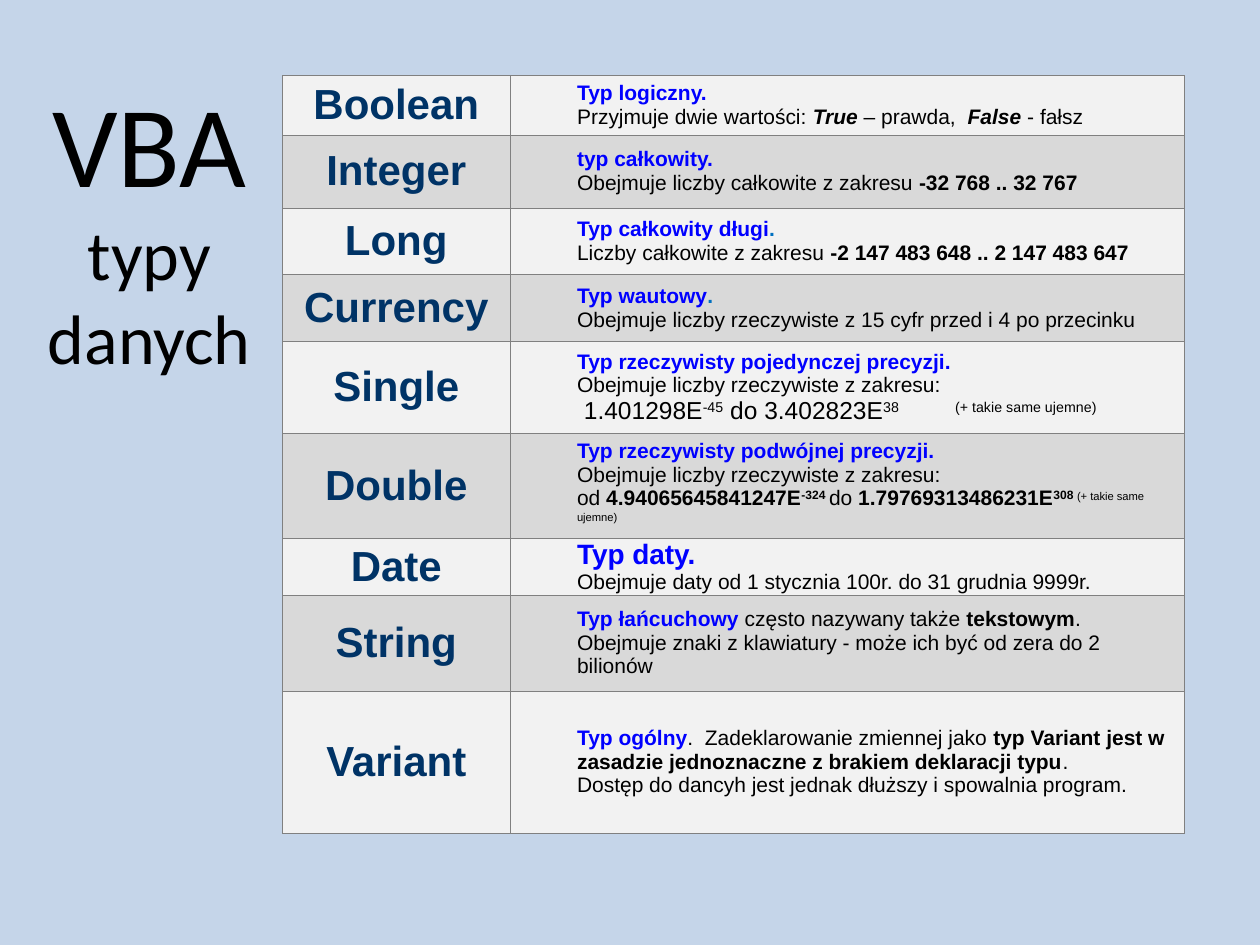
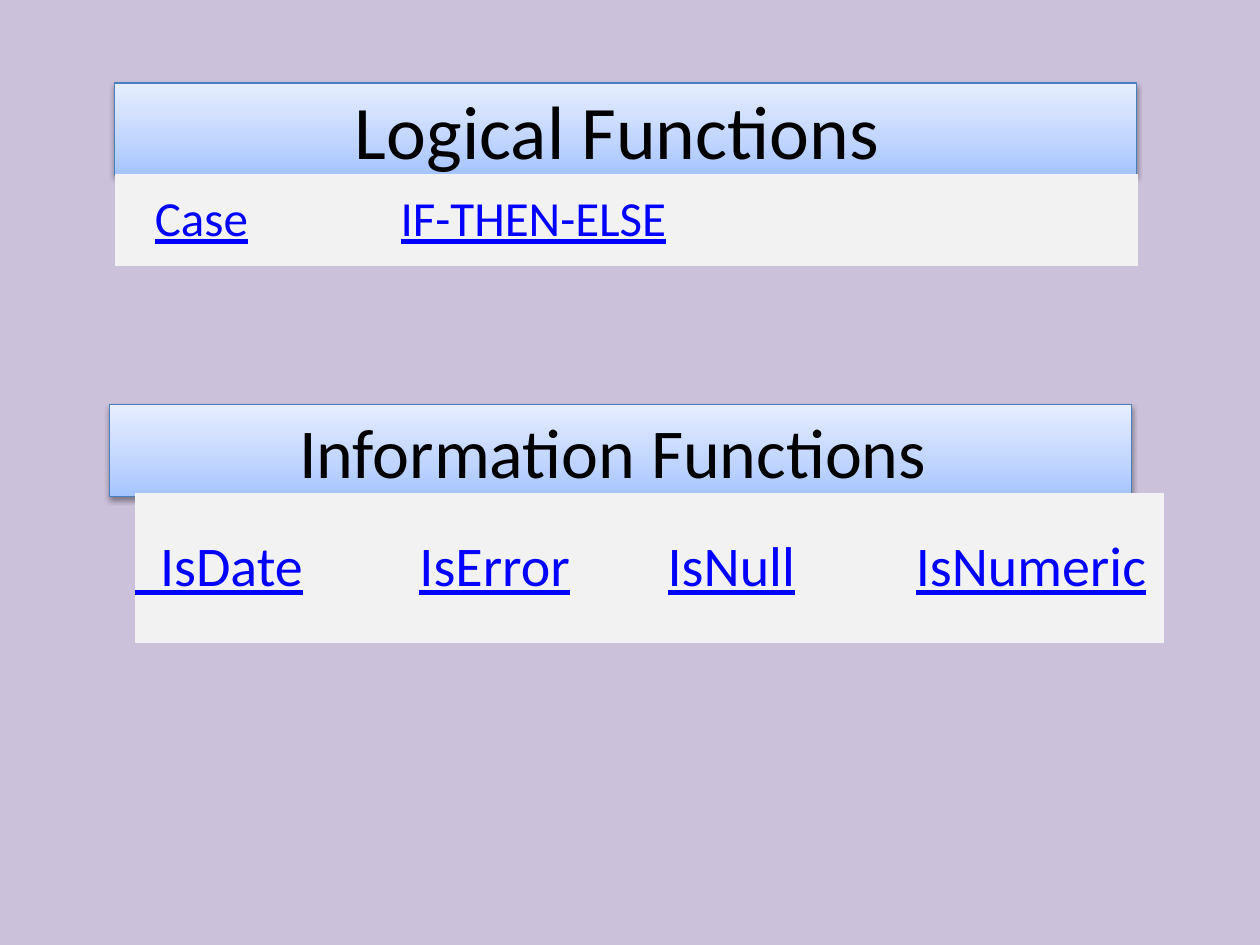
from copy import deepcopy
from dataclasses import dataclass, field

from lxml.etree import SubElement
from pptx import Presentation
from pptx.dml.color import RGBColor
from pptx.enum.shapes import MSO_SHAPE
from pptx.enum.text import MSO_ANCHOR, MSO_AUTO_SIZE, PP_ALIGN
from pptx.oxml import parse_xml
from pptx.oxml.ns import nsdecls, qn
from pptx.util import Inches, Pt

BLACK = RGBColor(0x00, 0x00, 0x00)
NAVY = RGBColor(0x00, 0x33, 0x66)
LINK_BLUE = RGBColor(0x00, 0x00, 0xFF)
DOT_BLUE = RGBColor(0x00, 0x70, 0xC0)
LIGHT_ROW = RGBColor(0xF2, 0xF2, 0xF2)
DARK_ROW = RGBColor(0xD9, 0xD9, 0xD9)
SKY = RGBColor(0xC5, 0xD5, 0xE9)
LILAC = RGBColor(0xCC, 0xC1, 0xDA)
BAND_LINE = RGBColor(0x4B, 0x7E, 0xBC)
BAND_STOPS = [
    (0, RGBColor(0xA4, 0xC4, 0xFF)),
    (0.35, RGBColor(0xBF, 0xD4, 0xFF)),
    (1, RGBColor(0xE6, 0xEE, 0xFF)),
]
GRID_GREY = "808080"
PLAIN_TABLE_STYLE = "{2D5ABB26-0587-4C30-8999-92F81FD0307C}"

TITLE = {"name": "Calibri", "color": BLACK}
TYPE_NAME = {"name": "Arial", "size": Pt(24), "bold": True, "color": NAVY}
BODY = {"name": "Arial", "size": Pt(12), "bold": False, "color": BLACK}
BOLD = BODY | {"bold": True}
BOLD_ITALIC = BOLD | {"italic": True}
LEAD = BOLD | {"color": LINK_BLUE}
LEAD_DOT = BOLD | {"color": DOT_BLUE}
LARGE = BODY | {"size": Pt(14)}
LINK = {"name": "Calibri", "underline": True, "color": LINK_BLUE}


@dataclass
class Span:
    """A stretch of text in one format; a newline is a line break."""
    text: str
    style: dict = field(default_factory=lambda: BODY)
    raised: bool = False


@dataclass
class DataType:
    """One row of the data type table."""
    name: str
    height: float
    paragraphs: list[list[Span]]


@dataclass
class LinkTable:
    """A one-row table of function links."""
    left: float
    top: float
    height: float
    size: float
    columns: list[tuple[float, str | None]]


DATA_TYPES = [
    DataType("Boolean", 0.47, [[
        Span("Typ logiczny. \n", LEAD), Span("Przyjmuje dwie wartości: "),
        Span("True", BOLD_ITALIC), Span(" – prawda,  "),
        Span("False", BOLD_ITALIC), Span(" - fałsz ")]]),
    DataType("Integer", 0.58, [[
        Span("typ całkowity.\n", LEAD),
        Span("Obejmuje liczby całkowite z zakresu "),
        Span("-32 768 .. 32 767", BOLD)]]),
    DataType("Long", 0.53, [[
        Span("Typ całkowity długi", LEAD), Span(".\n", LEAD_DOT),
        Span("Liczby całkowite z zakresu "),
        Span("-2 147 483 648 .. 2 147 483 647", BOLD)]]),
    DataType("Currency", 0.53, [[
        Span("Typ wautowy", LEAD), Span(".\n", LEAD_DOT),
        Span("Obejmuje liczby rzeczywiste z 15 cyfr przed i 4 po przecinku")]]),
    DataType("Single", 0.73, [[
        Span("Typ rzeczywisty pojedynczej precyzji.\n", LEAD),
        Span("Obejmuje liczby rzeczywiste z zakresu:\n"),
        Span(" 1.401298E", LARGE), Span("-45", LARGE, True),
        Span(" do 3.402823E", LARGE),
        Span("38\t(+ takie same ujemne)", LARGE, True)]]),
    DataType("Double", 0.83, [[
        Span("Typ rzeczywisty podwójnej precyzji.\n", LEAD),
        Span("Obejmuje liczby rzeczywiste z zakresu:\nod "),
        Span("4.94065645841247E", BOLD), Span("-324 ", BOLD, True),
        Span("do "), Span("1.79769313486231E", BOLD),
        Span("308 ", BOLD, True),
        Span("(+ takie same ujemne)", BODY | {"size": Pt(11)}, True)]]),
    DataType("Date", 0.43, [[
        Span("Typ daty.\n", LEAD | {"size": Pt(16)}),
        Span("Obejmuje daty od 1 stycznia 100r. do 31 grudnia 9999r.")]]),
    DataType("String", 0.76, [[
        Span("Typ łańcuchowy ", LEAD), Span("często nazywany także "),
        Span("tekstowym", BOLD),
        Span(". \nObejmuje znaki z klawiatury - może ich być "
             "od zera do 2 bilionów")]]),
    DataType("Variant", 1.13, [
        [Span("Typ ogólny", LEAD), Span(".  Zadeklarowanie zmiennej jako "),
         Span("typ Variant jest w zasadzie jednoznaczne "
              "z brakiem deklaracji typu", BOLD), Span(". ")],
        [Span("Dostęp do dancyh jest jednak dłuższy i spowalnia program. ")]]),
]

LOGICAL_LINKS = LinkTable(0.91, 1.38, 0.73, 28, [
    (0.32, ""), (1.95, "Case"), (5.09, "IF-THEN-ELSE"), (0.38, ""), (0.38, "")])
INFORMATION_LINKS = LinkTable(0.83, 3.91, 1.19, 32, [
    (0.03, None), (2.26, "  IsDate"), (1.97, "IsError"), (1.97, "IsNull"),
    (1.97, "IsNumeric")])


def write(paragraph, spans: list[Span]) -> None:
    """Add formatted spans to a paragraph."""
    for span in spans:
        for index, line in enumerate(span.text.split("\n")):
            if index:
                paragraph.add_line_break()
                line_break = paragraph._p.findall(qn("a:br"))[-1]
                line_break.append(deepcopy(run._r.get_or_add_rPr()))
            if not line:
                continue
            run = paragraph.add_run()
            run.text = line
            for key, value in span.style.items():
                if key == "color":
                    run.font.color.rgb = value
                else:
                    setattr(run.font, key, value)
            if span.raised:
                run._r.get_or_add_rPr().set("baseline", "30000")


def write_heading(shape, spans: list[Span]) -> None:
    """Fill a title or band with centred text that keeps its size."""
    frame = shape.text_frame
    settings = {"word_wrap": True, "auto_size": MSO_AUTO_SIZE.NONE,
                "vertical_anchor": MSO_ANCHOR.MIDDLE}
    for key, value in settings.items():
        setattr(frame, key, value)
    frame.paragraphs[0].alignment = PP_ALIGN.CENTER
    write(frame.paragraphs[0], spans)


def place(shape, left: float, top: float, width: float, height: float) -> None:
    """Set position and size in inches."""
    box = {"left": left, "top": top, "width": width, "height": height}
    for key, value in box.items():
        setattr(shape, key, Inches(value))


def add_slide(deck, background: RGBColor):
    """Add a title slide on a plain background, without its subtitle."""
    slide = deck.slides.add_slide(deck.slide_layouts[0])
    subtitle = slide.placeholders[1]._element
    subtitle.getparent().remove(subtitle)
    slide.background.fill.solid()
    slide.background.fill.fore_color.rgb = background
    return slide


def style_band(band, text: str, size: float) -> None:
    """Give a heading band its gradient, outline, shadow and text."""
    band.fill.gradient()
    band.fill.gradient_angle = 90
    stops = band._element.spPr.find(qn("a:gradFill")).find(qn("a:gsLst"))
    stops.append(deepcopy(stops[0]))
    for stop, (position, color) in zip(band.fill.gradient_stops, BAND_STOPS):
        stop.position = position
        stop.color.rgb = color
    band.line.color.rgb = BAND_LINE
    band.line.width = Pt(0.75)
    band.shadow.inherit = False
    band._element.spPr.find(qn("a:effectLst")).append(parse_xml(
        f'<a:outerShdw {nsdecls("a")} blurRad="{Pt(3.1)}" dist="{Pt(1.6)}" '
        'dir="5400000" rotWithShape="0"><a:srgbClr val="000000">'
        '<a:alpha val="38000"/></a:srgbClr></a:outerShdw>'))
    write_heading(band, [Span(text, TITLE | {"size": Pt(size)})])


def add_plain_table(slide, left: float, top: float,
                    widths: list[float], heights: list[float]):
    """Add a table without style, with the given columns and rows."""
    table = slide.shapes.add_table(
        len(heights), len(widths), Inches(left), Inches(top),
        Inches(sum(widths)), Inches(sum(heights))).table
    table.first_row = table.horz_banding = False
    table._tbl.tblPr.find(qn("a:tableStyleId")).text = PLAIN_TABLE_STYLE
    for column, width in zip(table.columns, widths):
        column.width = Inches(width)
    for row, height in zip(table.rows, heights):
        row.height = Inches(height)
    return table


def style_cell(cell, fill: RGBColor, side: float, end: float) -> None:
    """Fill a cell, centre it vertically and set its margins."""
    cell.fill.solid()
    cell.fill.fore_color.rgb = fill
    settings = {"vertical_anchor": MSO_ANCHOR.MIDDLE,
                "margin_left": Inches(side), "margin_right": Inches(side),
                "margin_top": Inches(end), "margin_bottom": Inches(end)}
    for key, value in settings.items():
        setattr(cell, key, value)


def add_borders(cell) -> None:
    """Draw a thin grey line on all four sides of a cell."""
    properties = cell._tc.get_or_add_tcPr()
    for index, side in enumerate("LRTB"):
        properties.insert(index, parse_xml(
            f'<a:ln{side} {nsdecls("a")} w="{Pt(0.25)}"><a:solidFill>'
            f'<a:srgbClr val="{GRID_GREY}"/></a:solidFill></a:ln{side}>'))


def indent(paragraph) -> None:
    """Indent a description and set the tab for its side remark."""
    paragraph.level = 1
    properties = paragraph._p.get_or_add_pPr()
    properties.set("marL", str(Inches(0.5)))
    properties.set("indent", "0")
    tabs = SubElement(properties, qn("a:tabLst"))
    SubElement(tabs, qn("a:tab"), pos=str(Inches(3.34)), algn="l")


def add_type_table(slide) -> None:
    """Draw the table of data types and their descriptions."""
    table = add_plain_table(slide, 2.24, 0.6, [1.81, 5.35],
                            [data_type.height for data_type in DATA_TYPES])
    for row, data_type in enumerate(DATA_TYPES):
        name, description = table.cell(row, 0), table.cell(row, 1)
        for cell in (name, description):
            style_cell(cell, DARK_ROW if row % 2 else LIGHT_ROW, 0.03, 0.01)
            add_borders(cell)
        label = name.text_frame.paragraphs[0]
        label.alignment = PP_ALIGN.CENTER
        write(label, [Span(data_type.name, TYPE_NAME)])
        frame = description.text_frame
        for index, spans in enumerate(data_type.paragraphs):
            paragraph = frame.add_paragraph() if index else frame.paragraphs[0]
            indent(paragraph)
            write(paragraph, spans)


def add_link_table(slide, links: LinkTable) -> None:
    """Draw a row of function names; a column of None stays unfilled."""
    table = add_plain_table(slide, links.left, links.top,
                            [width for width, _ in links.columns],
                            [links.height])
    for column, (_, function) in enumerate(links.columns):
        if function is None:
            continue
        cell = table.cell(0, column)
        style_cell(cell, LIGHT_ROW, 0, 0)
        write(cell.text_frame.paragraphs[0],
              [Span(function, LINK | {"size": Pt(links.size)})])


deck = Presentation()
deck.slide_width, deck.slide_height = Inches(10), Inches(7.5)

types_slide = add_slide(deck, SKY)
types_title = types_slide.shapes.title
place(types_title, 0.2, 0.21, 1.97, 3.15)
write_heading(types_title, [Span(text, TITLE | {"size": Pt(size)}) for text, size
                            in (("VBA", 66), (" ", 44), ("typy danych", 40))])
add_type_table(types_slide)

functions_slide = add_slide(deck, LILAC)
logical_band = functions_slide.shapes.title
place(logical_band, 0.91, 0.66, 8.11, 0.73)
style_band(logical_band, "Logical Functions ", 43.2)
add_link_table(functions_slide, LOGICAL_LINKS)
information_band = functions_slide.shapes.add_shape(
    MSO_SHAPE.RECTANGLE, Inches(0.87), Inches(3.21), Inches(8.11), Inches(0.73))
style_band(information_band, "Information Functions ", 40)
add_link_table(functions_slide, INFORMATION_LINKS)

deck.save("out.pptx")
